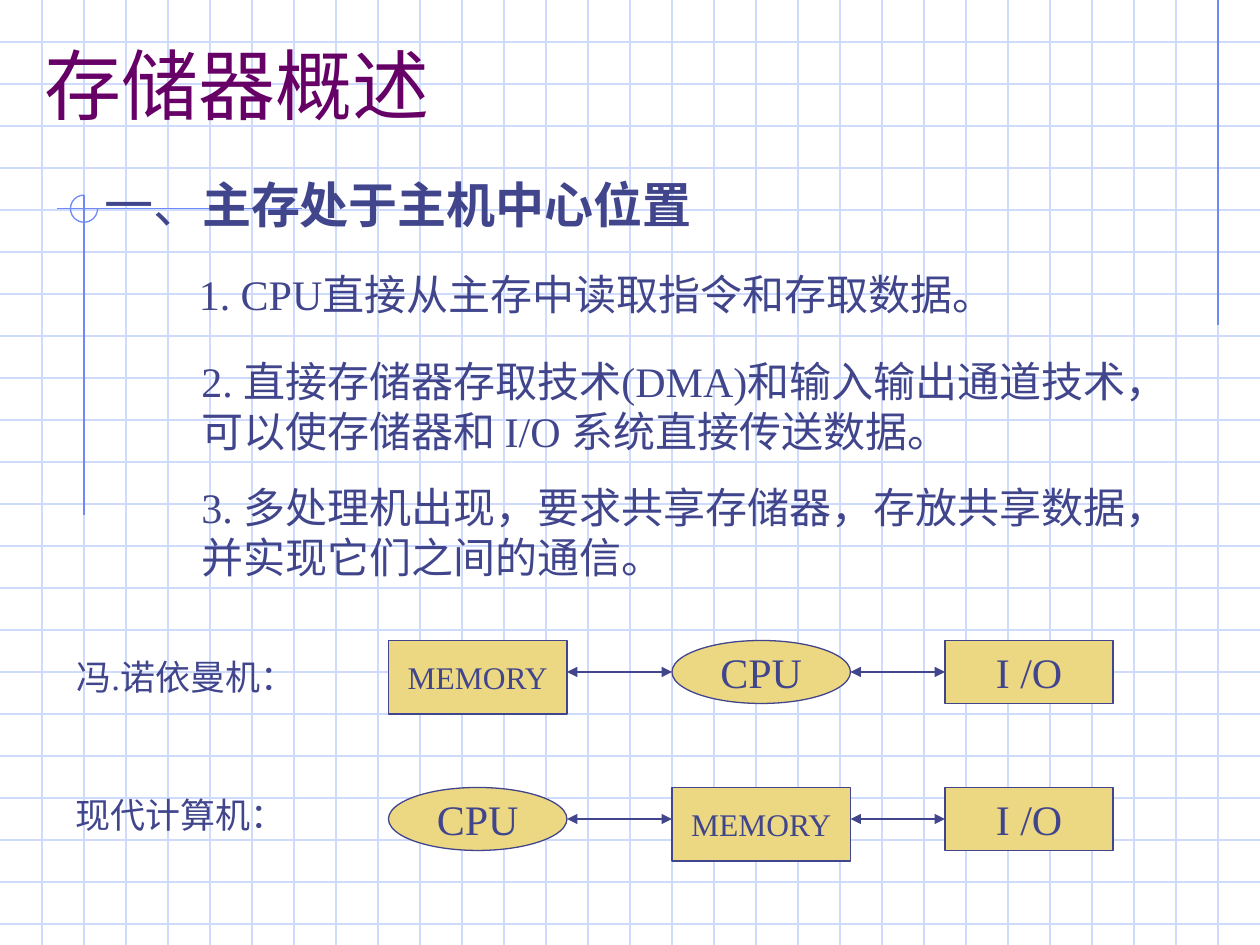
"""Build the slide on main memory and its place in the computer."""
from dataclasses import dataclass

from lxml.etree import SubElement
from pptx import Presentation
from pptx.dml.color import RGBColor
from pptx.enum.shapes import MSO_CONNECTOR, MSO_SHAPE
from pptx.enum.text import MSO_ANCHOR, MSO_AUTO_SIZE, PP_ALIGN
from pptx.oxml.ns import qn
from pptx.slide import Slide
from pptx.text.text import Font
from pptx.util import Pt

COLORS = {
    "grid": "CFDBFD",
    "accent": "6F89F7",
    "title": "660066",
    "text": "40458C",
    "node": "ECD882",
}
BODY_FONT = "Times New Roman"
TITLE_FONT = "Karla"
WIDTH, HEIGHT, GRID_STEP = 720, 540, 24
LINE_WIDTH = 0.74


@dataclass(frozen=True)
class Span:
    text: str
    bold: bool = False


@dataclass(frozen=True)
class TextBlock:
    left: float
    top: float
    width: float
    height: float
    size: int
    spans: tuple[Span, ...]


@dataclass(frozen=True)
class NodeKind:
    text: str
    shape: MSO_SHAPE
    height: int
    size: int


@dataclass(frozen=True)
class Slot:
    left: int
    width: int


@dataclass(frozen=True)
class Machine:
    top: int
    nodes: tuple[NodeKind, ...]


MEMORY = NodeKind("MEMORY", MSO_SHAPE.RECTANGLE, 42, 18)
CPU = NodeKind("CPU", MSO_SHAPE.OVAL, 36, 24)
IO = NodeKind("I /O", MSO_SHAPE.RECTANGLE, 36, 24)

SLOTS = (Slot(222, 102), Slot(384, 102), Slot(540, 96))
MACHINES = (
    Machine(366, (MEMORY, CPU, IO)),
    Machine(450, (CPU, MEMORY, IO)),
)
TEXT_BLOCKS = (
    TextBlock(52.5, 96, 493, 41, 28,
              (Span("一、"), Span("主存处于主机中心位置", True))),
    TextBlock(106.5, 150, 505.5, 36, 24,
              (Span("1. CPU直接从主存中读取指令和存取数据。"),)),
    TextBlock(108, 199.5, 576, 65, 24,
              (Span("2. 直接存储器存取技术(DMA)和输入输出通道技术，"
                    "可以使存储器和 I/O 系统直接传送数据。"),)),
    TextBlock(108, 271.5, 546, 65, 24,
              (Span("3. 多处理机出现，要求共享存储器，存放共享数据，"
                    "并实现它们之间的通信。"),)),
    TextBlock(36.5, 371, 161, 32, 20, (Span("冯.诺依曼机："),)),
    TextBlock(36, 450, 161, 32, 20, (Span("现代计算机："),)),
)


def rgb(name: str) -> RGBColor:
    return RGBColor.from_string(COLORS[name])


def style_font(font: Font, name: str, size: int, color: str) -> None:
    font.name = name
    font.size = Pt(size)
    font.color.rgb = rgb(color)


def add_line(page: Slide, start: tuple[float, float], end: tuple[float, float],
             color: str, arrows: bool = False) -> None:
    line = page.shapes.add_connector(
        MSO_CONNECTOR.STRAIGHT, *(Pt(value) for value in (*start, *end)))
    line.line.color.rgb = rgb(color)
    line.line.width = Pt(LINE_WIDTH)
    properties = line.element.spPr
    if arrows:
        outline = properties.find(qn("a:ln"))
        for tag in ("a:headEnd", "a:tailEnd"):
            SubElement(outline, qn(tag), type="triangle")
    SubElement(properties, qn("a:effectLst"))


def add_background(page: Slide) -> None:
    for y in range(GRID_STEP, HEIGHT, GRID_STEP):
        add_line(page, (0, y), (WIDTH, y), "grid")
    for x in range(GRID_STEP, WIDTH, GRID_STEP):
        add_line(page, (x, 0), (x, HEIGHT), "grid")
    add_line(page, (696, 0), (696, 186), "accent")
    add_line(page, (172.5, 119.25), (32.5, 119.25), "accent")
    add_line(page, (48, 111.5), (48, 294.5), "accent")
    arc = page.shapes.add_shape(
        MSO_SHAPE.ARC, Pt(40.25), Pt(111.5), Pt(15.5), Pt(15.5))
    arc.adjustments[0] = 0
    arc.adjustments[1] = 162
    arc.fill.background()
    arc.line.color.rgb = rgb("accent")
    arc.line.width = Pt(LINE_WIDTH)
    arc.shadow.inherit = False


def add_title(page: Slide) -> None:
    title = page.shapes.title
    page.shapes.element.append(title.element)
    title.left, title.top, title.width, title.height = Pt(18), Pt(12), Pt(612), Pt(66)
    frame = title.text_frame
    frame.text = "存储器概述"
    frame.vertical_anchor = MSO_ANCHOR.BOTTOM
    frame.auto_size = MSO_AUTO_SIZE.NONE
    para = frame.paragraphs[0]
    para.alignment = PP_ALIGN.LEFT
    style_font(para.font, TITLE_FONT, 44, "title")


def add_text(page: Slide, block: TextBlock) -> None:
    box = page.shapes.add_textbox(
        Pt(block.left), Pt(block.top), Pt(block.width), Pt(block.height))
    frame = box.text_frame
    frame.word_wrap = True
    frame.auto_size = MSO_AUTO_SIZE.SHAPE_TO_FIT_TEXT
    para = frame.paragraphs[0]
    style_font(para.font, BODY_FONT, block.size, "text")
    for span in block.spans:
        run = para.add_run()
        run.text = span.text
        if span.bold:
            run.font.bold = True


def add_node(page: Slide, kind: NodeKind, slot: Slot, top: int) -> None:
    node = page.shapes.add_shape(
        kind.shape, Pt(slot.left), Pt(top), Pt(slot.width), Pt(kind.height))
    node.shadow.inherit = False
    node.fill.solid()
    node.fill.fore_color.rgb = rgb("node")
    node.line.color.rgb = rgb("text")
    node.line.width = Pt(LINE_WIDTH)
    frame = node.text_frame
    frame.text = kind.text
    frame.word_wrap = False
    frame.vertical_anchor = MSO_ANCHOR.MIDDLE
    para = frame.paragraphs[0]
    para.alignment = PP_ALIGN.CENTER
    style_font(para.font, BODY_FONT, kind.size, "text")


def add_machine(page: Slide, machine: Machine) -> None:
    for kind, slot in zip(machine.nodes, SLOTS):
        add_node(page, kind, slot, machine.top)
    middle = machine.top + 18
    for before, after in zip(SLOTS, SLOTS[1:]):
        add_line(page, (before.left + before.width, middle),
                 (after.left, middle), "text", arrows=True)


def main() -> None:
    deck = Presentation()
    deck.slide_width, deck.slide_height = Pt(WIDTH), Pt(HEIGHT)
    page = deck.slides.add_slide(deck.slide_layouts[5])
    add_background(page)
    add_title(page)
    for block in TEXT_BLOCKS:
        add_text(page, block)
    for machine in MACHINES:
        add_machine(page, machine)
    deck.save("out.pptx")


main()
